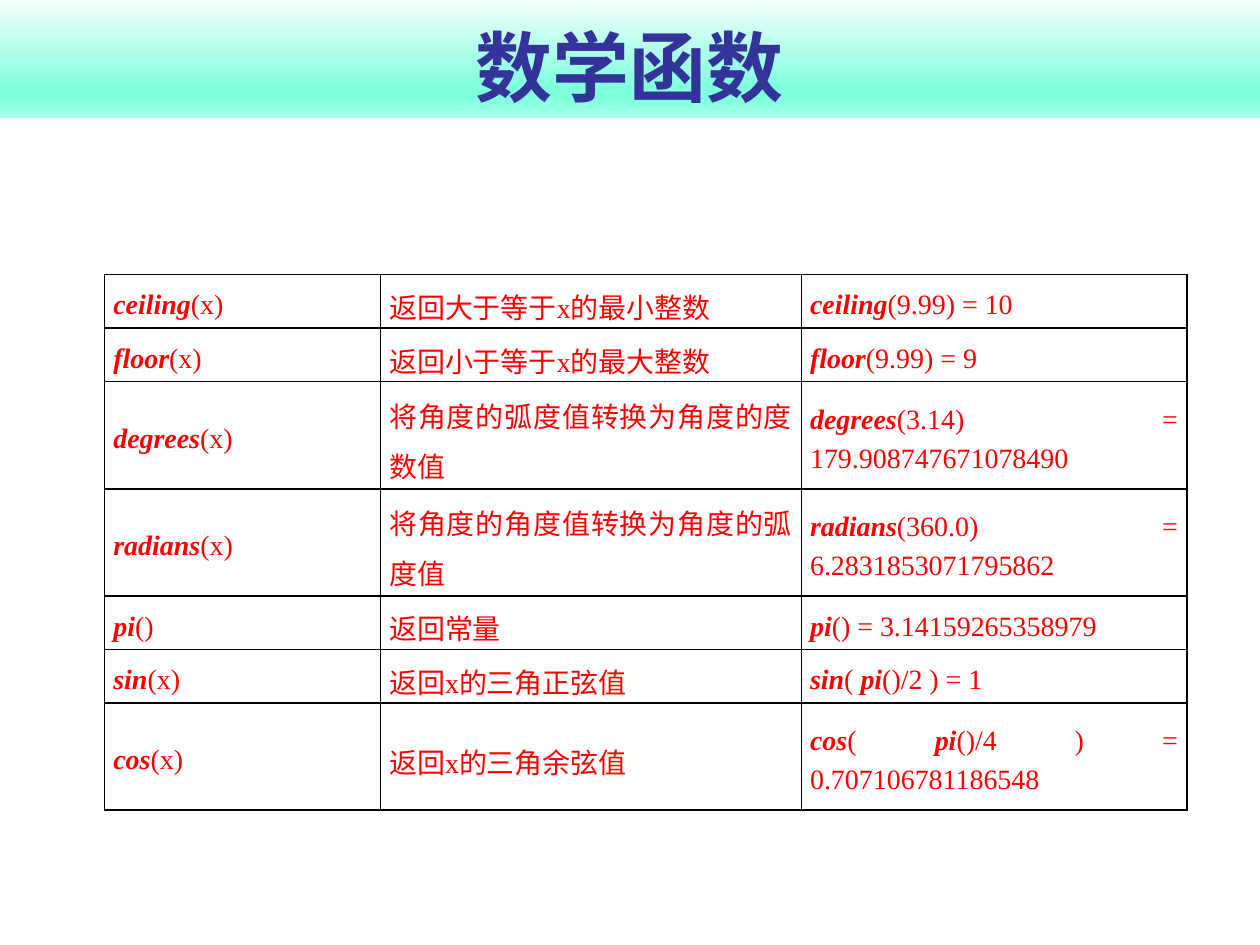
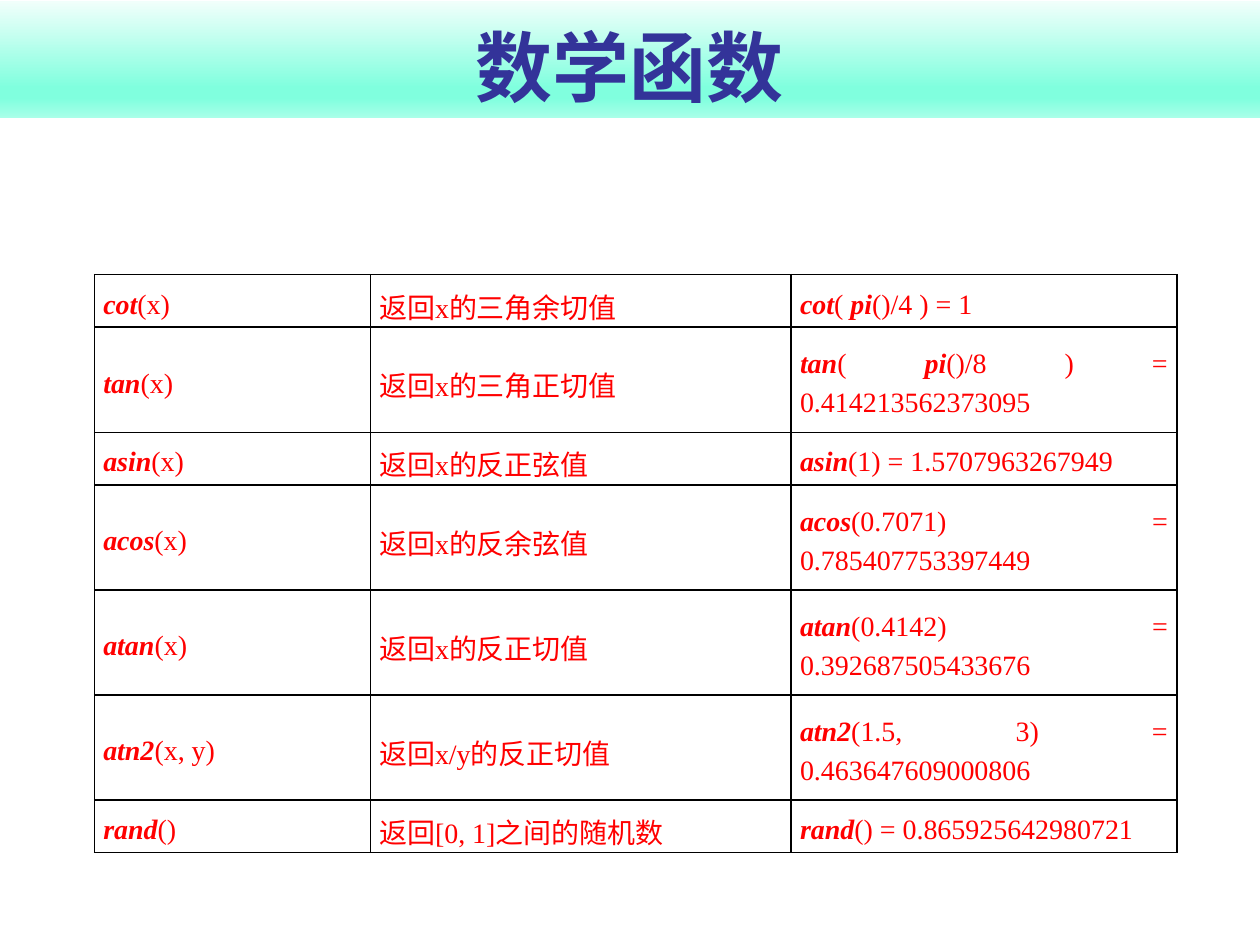
from lxml.etree import SubElement
from pptx import Presentation
from pptx.dml.color import RGBColor
from pptx.enum.text import MSO_ANCHOR, MSO_AUTO_SIZE, PP_ALIGN
from pptx.oxml.ns import qn
from pptx.util import Inches, Pt

HEADING = "数学函数"
HEADING_COLOR = "333399"
ENTRY_COLOR = "FF0000"
BORDER_COLOR = "000000"
BAND_STOPS = [(0, "F1FFFB"), (74, "80FFDE"), (83, "80FFDE"), (100, "AAFFE9")]
COLUMN_WIDTHS = [2.19, 3.34, 3.06]
TABLE_TOP = 2.18

# Each function: name, arguments, description, example after the name, lines
FUNCTION_PAGES = [
    {
        "left": 0.83,
        "line_height": 0.425,
        "functions": [
            ("ceiling", "(x)", "返回大于等于x的最小整数", "(9.99) = 10", 1),
            ("floor", "(x)", "返回小于等于x的最大整数", "(9.99) = 9", 1),
            ("degrees", "(x)", "将角度的弧度值转换为角度的度数值", "(3.14) = 179.908747671078490", 2),
            ("radians", "(x)", "将角度的角度值转换为角度的弧度值", "(360.0) = 6.2831853071795862", 2),
            ("pi", "()", "返回常量", "() = 3.14159265358979", 1),
            ("sin", "(x)", "返回x的三角正弦值", "( pi()/2 ) = 1", 1),
            ("cos", "(x)", "返回x的三角余弦值", "( pi()/4 ) = 0.707106781186548", 2),
        ],
    },
    {
        "left": 0.75,
        "line_height": 0.417,
        "functions": [
            ("cot", "(x)", "返回x的三角余切值", "( pi()/4 ) = 1", 1),
            ("tan", "(x)", "返回x的三角正切值", "( pi()/8 ) = 0.414213562373095", 2),
            ("asin", "(x)", "返回x的反正弦值", "(1) = 1.5707963267949", 1),
            ("acos", "(x)", "返回x的反余弦值", "(0.7071) = 0.785407753397449", 2),
            ("atan", "(x)", "返回x的反正切值", "(0.4142) = 0.392687505433676", 2),
            ("atn2", "(x, y)", "返回x/y的反正切值", "(1.5, 3) = 0.463647609000806", 2),
            ("rand", "()", "返回[0, 1]之间的随机数", "() = 0.865925642980721", 1),
        ],
    },
]


def rgb(color):
    return RGBColor.from_string(color)


def add_run(paragraph, text, font_name, size, color, bold=False, italic=False):
    run = paragraph.add_run()
    run.text = text
    font = run.font
    font.name, font.size = font_name, Pt(size)
    font.bold, font.italic = bold, italic
    font.color.rgb = rgb(color)


def fill_band(band):
    gradient = SubElement(band._element.spPr, qn("a:gradFill"), rotWithShape="1")
    stops = SubElement(gradient, qn("a:gsLst"))
    for percent, color in BAND_STOPS:
        stop = SubElement(stops, qn("a:gs"), pos=str(percent * 1000))
        SubElement(stop, qn("a:srgbClr"), val=color)
    SubElement(gradient, qn("a:lin"), ang="5400000", scaled="0")


def add_heading(slide):
    heading = slide.shapes.title
    heading.left, heading.top = Inches(0), Inches(0.01)
    heading.width, heading.height = Inches(10), Inches(0.93)
    fill_band(heading)
    frame = heading.text_frame
    frame.auto_size = MSO_AUTO_SIZE.NONE
    frame.vertical_anchor = MSO_ANCHOR.BOTTOM
    paragraph = frame.paragraphs[0]
    paragraph.alignment = PP_ALIGN.CENTER
    add_run(paragraph, HEADING, "Lato", 44, HEADING_COLOR, bold=True)


def add_borders(cell):
    properties = cell._tc.get_or_add_tcPr()
    for position, side in enumerate(("a:lnL", "a:lnR", "a:lnT", "a:lnB")):
        border = properties.makeelement(qn(side), {"w": str(Pt(1))})
        line_fill = SubElement(border, qn("a:solidFill"))
        SubElement(line_fill, qn("a:srgbClr"), val=BORDER_COLOR)
        properties.insert(position, border)


def write_entry(cell, pieces):
    cell.fill.background()
    add_borders(cell)
    cell.vertical_anchor = MSO_ANCHOR.MIDDLE
    cell.margin_left = cell.margin_right = Inches(0.07)
    cell.margin_top = cell.margin_bottom = 0
    paragraph = cell.text_frame.paragraphs[0]
    paragraph.alignment = PP_ALIGN.JUSTIFY
    paragraph.line_spacing = 1.25
    for text, is_name in pieces:
        if text:
            add_run(paragraph, text, "Times New Roman", 16, ENTRY_COLOR, is_name, is_name)


def add_function_table(slide, left, line_height, functions):
    total_lines = sum(lines for *_, lines in functions)
    table = slide.shapes.add_table(
        len(functions), len(COLUMN_WIDTHS), Inches(left), Inches(TABLE_TOP),
        Inches(sum(COLUMN_WIDTHS)), Inches(total_lines * line_height),
    ).table
    table.first_row = table.horz_banding = False
    for column, width in zip(table.columns, COLUMN_WIDTHS):
        column.width = Inches(width)
    for row, (name, arguments, description, example, lines) in zip(table.rows, functions):
        row.height = Inches(lines * line_height)
        before, nested, after = example.partition("pi")
        entries = [
            [(name, True), (arguments, False)],
            [(description, False)],
            [(name, True), (before, False), (nested, True), (after, False)],
        ]
        for cell, pieces in zip(row.cells, entries):
            write_entry(cell, pieces)


def main():
    presentation = Presentation()
    presentation.slide_width, presentation.slide_height = Inches(10), Inches(7.5)
    title_only = presentation.slide_layouts[5]
    for page in FUNCTION_PAGES:
        slide = presentation.slides.add_slide(title_only)
        add_heading(slide)
        add_function_table(slide, **page)
    presentation.save("out.pptx")


if __name__ == "__main__":
    main()
